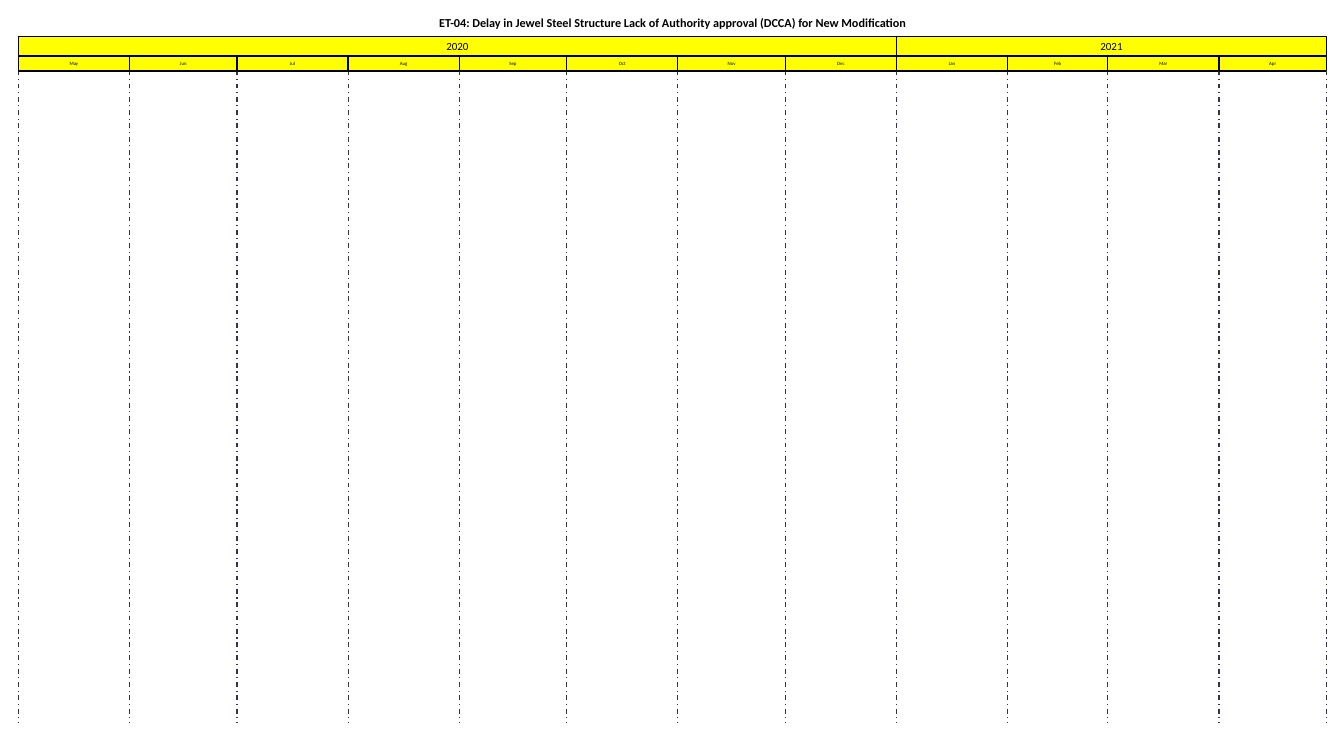
from pptx import Presentation
from pptx.dml.color import RGBColor
from pptx.enum import dml, shapes, text
from pptx.oxml import parse_xml
from pptx.oxml.ns import nsdecls
from pptx.util import Inches, Pt

TITLE = ("ET-04: Delay in Jewel Steel Structure Lack of Authority approval "
         "(DCCA) for New Modification")
YEARS = {
    "2020": {"May": 31, "Jun": 30, "Jul": 31, "Aug": 31,
             "Sep": 30, "Oct": 31, "Nov": 30, "Dec": 31},
    "2021": {"Jan": 31, "Feb": 28, "Mar": 31, "Apr": 30},
}
LEFT, WIDTH = 0.21, 14.9
DAY = WIDTH / sum(sum(months.values()) for months in YEARS.values())


def color(code):
    return RGBColor.from_string(code)


def write(shape, words, size=9, bold=False, side=0.1):
    frame = shape.text_frame
    frame.word_wrap = True
    frame.auto_size = text.MSO_AUTO_SIZE.SHAPE_TO_FIT_TEXT
    frame.vertical_anchor = text.MSO_ANCHOR.MIDDLE
    frame.margin_left = frame.margin_right = Inches(side)
    frame.margin_top = frame.margin_bottom = Inches(0.05)
    line = frame.paragraphs[0]
    line.alignment = text.PP_ALIGN.CENTER
    run = line.add_run()
    run.text = words
    run.font.name = "Calibri"
    run.font.size = Pt(size)
    run.font.bold = bold
    run.font.color.rgb = color("000000")


def add_bar(slide, x, y, wide, high, words, **style):
    bar = slide.shapes.add_shape(
        shapes.MSO_SHAPE.RECTANGLE,
        Inches(x), Inches(y), Inches(wide), Inches(high))
    bar.shadow.inherit = False
    bar.fill.solid()
    bar.fill.fore_color.rgb = color("FFFF00")
    bar.line.color.rgb = color("000000")
    bar.line.width = Pt(1)
    write(bar, words, **style)


def add_rule(slide, x):
    rule = slide.shapes.add_connector(
        shapes.MSO_CONNECTOR.STRAIGHT,
        Inches(x), Inches(0.8), Inches(x), Inches(8.23))
    rule.line.color.rgb = color("333350")
    rule.line.width = Pt(1)
    rule.line.dash_style = dml.MSO_LINE.DASH_DOT
    rule._element.spPr.append(parse_xml(f"<a:effectLst {nsdecls('a')}/>"))


def add_title(slide):
    title = slide.shapes.title
    title.left, title.top = Inches(LEFT), Inches(0.1)
    title.width, title.height = Inches(WIDTH), Inches(0.31)
    write(title, TITLE, size=10, bold=True)


def main():
    deck = Presentation()
    deck.slide_width, deck.slide_height = Inches(15.31), Inches(8.33)
    slide = deck.slides.add_slide(deck.slide_layouts[5])
    add_title(slide)

    # Year bars
    x = LEFT
    for year, months in YEARS.items():
        wide = sum(months.values()) * DAY
        add_bar(slide, x, 0.42, wide, 0.21, year)
        x += wide

    # Month bars, each with a rule at its start
    x = LEFT
    for months in YEARS.values():
        for month, days in months.items():
            add_rule(slide, x)
            add_bar(slide, x, 0.64, days * DAY, 0.17, month, size=4, side=0)
            x += days * DAY
    add_rule(slide, x)

    deck.save("out.pptx")


if __name__ == "__main__":
    main()
